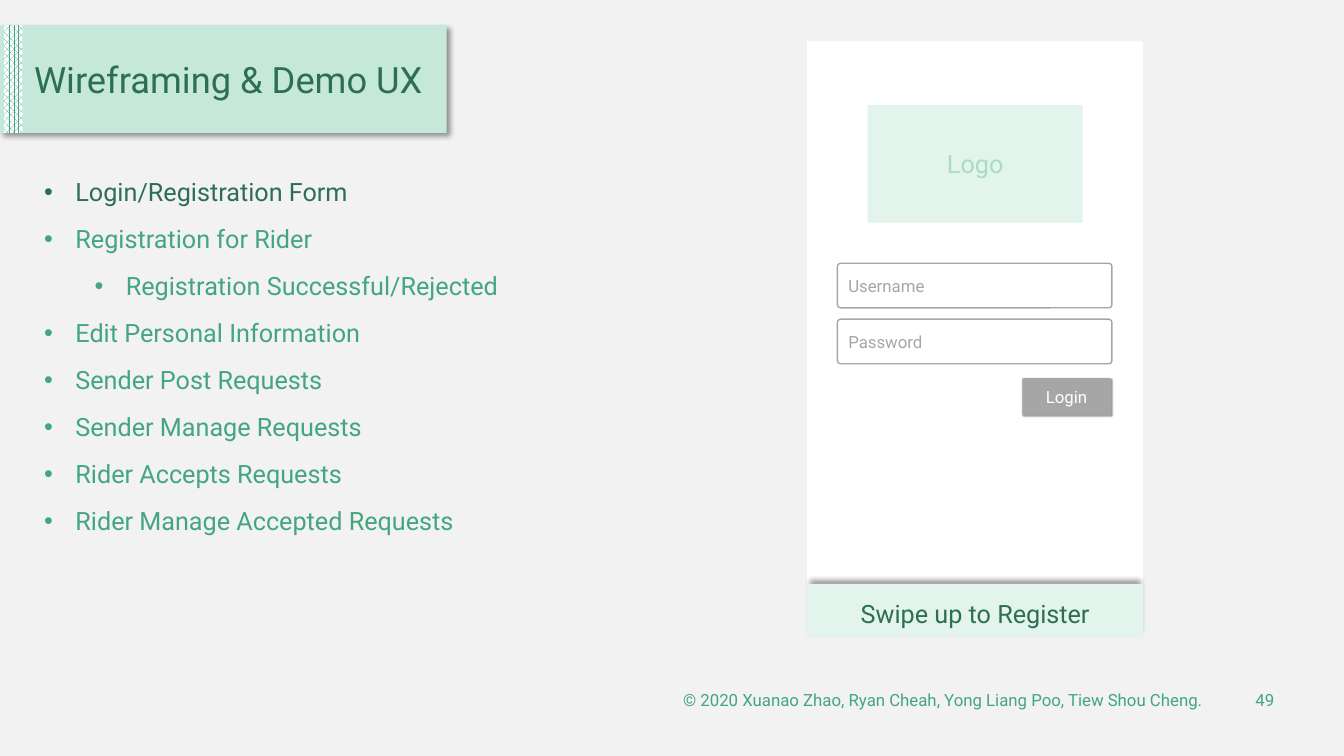
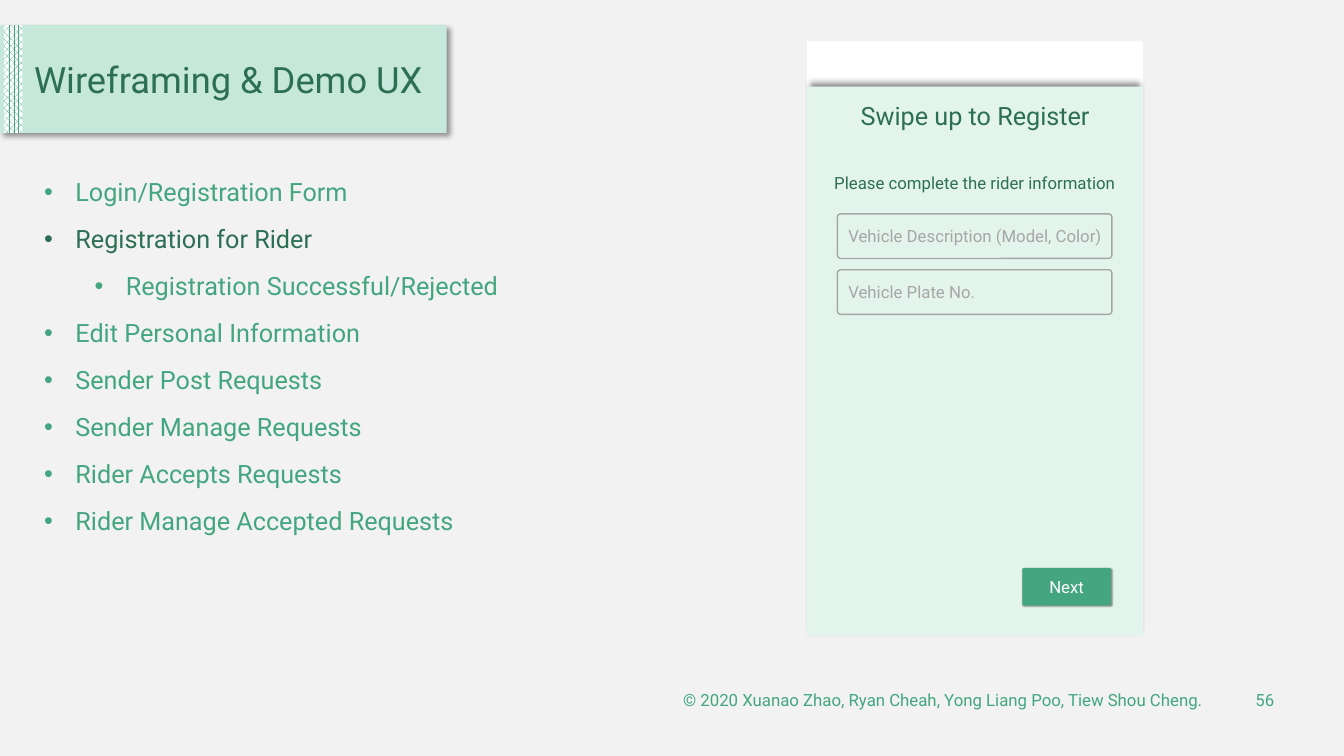
import dataclasses

import lxml.etree
import pptx
import pptx.dml.color
import pptx.enum.dml
import pptx.enum.shapes
import pptx.enum.text
import pptx.oxml.ns
import pptx.util

ALIGN = pptx.enum.text.PP_ALIGN
ANCHOR = pptx.enum.text.MSO_ANCHOR
SHAPE = pptx.enum.shapes.MSO_SHAPE


@dataclasses.dataclass(frozen=True)
class Theme:
    font: str = "Roboto"
    page: str = "F2F2F2"
    white: str = "FFFFFF"
    black: str = "000000"
    mint: str = "C6E8DB"
    pale: str = "E3F4ED"
    faded: str = "A9DCC8"
    green: str = "43A680"
    dark: str = "2D6F55"
    grey: str = "A6A6A6"
    title_size: float = 25.9
    body_size: float = 18
    small_size: float = 12


@dataclasses.dataclass(frozen=True)
class Box:
    left: float
    top: float
    width: float
    height: float

    def inner(self, left, top, width, height):
        """Return an inner box, given in percent of this one."""
        return Box(self.left + self.width * left / 100,
                   self.top + self.height * top / 100,
                   self.width * width / 100, self.height * height / 100)

    def place(self):
        return [pptx.util.Inches(length) for length in dataclasses.astuple(self)]


THEME = Theme()
PAGE = Box(0, 0, 13.33, 7.5)
BAND = PAGE.inner(0, 3.33, 33.23, 14.27)
AGENDA = PAGE.inner(2.55, 22.67, 37.4, 49.3)
PHONE = PAGE.inner(60.06, 5.47, 25, 78.7)
FOOTER = PAGE.inner(40.8, 89.87, 54.75, 5.33)

TITLE = "Wireframing & Demo UX"
CREDIT = "© 2020 Xuanao Zhao, Ryan Cheah, Yong Liang Poo, Tiew Shou Cheng."
TOPICS = [  # text and outline level
    ("Login/Registration Form", 0),
    ("Registration for Rider", 0),
    ("Registration Successful/Rejected", 1),
    ("Edit Personal Information", 0),
    ("Sender Post Requests", 0),
    ("Sender Manage Requests", 0),
    ("Rider Accepts Requests", 0),
    ("Rider Manage Accepted Requests", 0),
]


def rgb(code):
    return pptx.dml.color.RGBColor.from_string(code)


def add_span(para, text, size, color):
    span = para.add_run()
    span.text = text
    span.font.name = THEME.font
    span.font.size = pptx.util.Pt(size)
    span.font.color.rgb = rgb(color)


def write(shape, text, size=THEME.small_size, color=THEME.dark, align=ALIGN.LEFT,
          anchor=ANCHOR.MIDDLE, top=0.05, side=0.1, right=None, wrap=True,
          line_spacing=None):
    frame = shape.text_frame
    frame.word_wrap = wrap
    frame.vertical_anchor = anchor
    frame.margin_top = pptx.util.Inches(top)
    frame.margin_bottom = pptx.util.Inches(0.05)
    frame.margin_left = pptx.util.Inches(side)
    frame.margin_right = pptx.util.Inches(side if right is None else right)
    para = frame.paragraphs[0]
    para.alignment = align
    para.line_spacing = line_spacing
    add_span(para, text, size, color)


def add_text(page, box, text, **style):
    write(page.shapes.add_textbox(*box.place()), text, **style)


def add_panel(page, box, fill=None, line=None, corner=None):
    kind = SHAPE.RECTANGLE if corner is None else SHAPE.ROUNDED_RECTANGLE
    panel = page.shapes.add_shape(kind, *box.place())
    panel.shadow.inherit = False
    if corner is not None:
        panel.adjustments[0] = corner
    if fill:
        panel.fill.solid()
        panel.fill.fore_color.rgb = rgb(fill)
    else:
        panel.fill.background()
    if line:
        panel.line.color.rgb = rgb(line)
        panel.line.width = pptx.util.Pt(1)
    else:
        panel.line.fill.background()
    return panel


def add_shadow(panel, blur, distance, angle, **scale):
    name = pptx.oxml.ns.qn
    effects = panel._element.spPr.find(name("a:effectLst"))
    shadow = lxml.etree.SubElement(
        effects, name("a:outerShdw"), blurRad=str(pptx.util.Pt(blur)),
        dist=str(pptx.util.Pt(distance)), dir=str(angle * 60000), **scale,
        rotWithShape="0")
    color = lxml.etree.SubElement(shadow, name("a:srgbClr"), val=THEME.black)
    lxml.etree.SubElement(color, name("a:alpha"), val="40000")


def add_band(page, box):
    band = add_panel(page, box, THEME.mint)
    add_shadow(band, 4, 3, 45)
    stripe = add_panel(page, box.inner(0.9, 0, 4.1, 100))
    stripe.fill.patterned()
    stripe.fill.pattern = pptx.enum.dml.MSO_PATTERN.PERCENT_70
    stripe.fill.fore_color.rgb = rgb(THEME.green)
    stripe.fill.back_color.rgb = rgb(THEME.white)
    add_text(page, box.inner(5.4, 15, 94, 75.7), TITLE, size=THEME.title_size,
             line_spacing=0.9)


def add_agenda(page, box, current):
    frame = page.shapes.add_textbox(*box.place()).text_frame
    frame.word_wrap = True
    for index, (topic, level) in enumerate(TOPICS):
        para = frame.add_paragraph() if index else frame.paragraphs[0]
        para.level = level
        para.space_before = pptx.util.Pt(12 if index else 0)
        layout = para._p.get_or_add_pPr()
        layout.set("marL", str(pptx.util.Inches(0.31 + 0.5 * level)))
        layout.set("indent", str(pptx.util.Inches(-0.31)))
        lxml.etree.SubElement(layout, pptx.oxml.ns.qn("a:buFont"), typeface="Arial")
        lxml.etree.SubElement(layout, pptx.oxml.ns.qn("a:buChar"), char="•")
        add_span(para, topic, THEME.body_size,
                 THEME.dark if index == current else THEME.green)


def add_footer(page, box, number):
    for left, width, text in ((0, 90.3, CREDIT), (91.9, 8.1, number)):
        add_text(page, box.inner(left, 0, width, 100), text,
                 color=THEME.green, align=ALIGN.RIGHT)


def add_fields(page, box, top, labels):
    for index, label in enumerate(labels):
        field = add_panel(page, box.inner(9, top + 9.4 * index, 81.7, 7.5),
                          line=THEME.grey, corner=0.075)
        write(field, label, color=THEME.grey, right=0, wrap=False)


def add_button(page, box, top, label, fill):
    button = add_panel(page, box.inner(64, top, 26.4, 6.3), fill, corner=0.046)
    add_shadow(button, 1, 1, 45)
    write(button, label, color=THEME.white, align=ALIGN.CENTER)


def add_sheet(page, box, top):
    """Register sheet, pulled up from the bottom of the phone."""
    sheet = add_panel(page, box.inner(0, top, 100, 100 - top), THEME.pale)
    add_shadow(sheet, 4, 3, 270, sx="98000", algn="b")
    write(sheet, "Swipe up to Register", size=THEME.body_size,
          align=ALIGN.CENTER, anchor=ANCHOR.TOP, top=0.14)


def add_login_phone(page, box):
    add_panel(page, box, THEME.white)
    logo = add_panel(page, box.inner(18, 10.7, 64, 19.8), THEME.pale)
    write(logo, "Logo", size=THEME.body_size, color=THEME.faded, align=ALIGN.CENTER)
    add_fields(page, box, 37.3, ["Username", "Password"])
    add_button(page, box, 56.6, "Login", THEME.grey)
    add_sheet(page, box, 91.2)


def add_rider_phone(page, box):
    add_panel(page, box, THEME.white)
    add_sheet(page, box, 7.6)
    add_text(page, box.inner(5.1, 21.2, 94.3, 5.1),
             "Please complete the rider information")
    add_fields(page, box, 29, ["Vehicle Description (Model, Color)",
                               "Vehicle Plate No."])
    add_button(page, box, 88.5, "Next", THEME.green)


def add_page(deck, number, current, add_phone):
    page = deck.slides.add_slide(deck.slide_layouts[6])
    add_band(page, BAND)
    add_agenda(page, AGENDA, current)
    add_phone(page, PHONE)
    add_footer(page, FOOTER, number)


def main():
    deck = pptx.Presentation()
    deck.slide_width = pptx.util.Inches(PAGE.width)
    deck.slide_height = pptx.util.Inches(PAGE.height)
    backdrop = deck.slide_master.background.fill
    backdrop.solid()
    backdrop.fore_color.rgb = rgb(THEME.page)
    add_page(deck, "49", 0, add_login_phone)
    add_page(deck, "56", 1, add_rider_phone)
    deck.save("out.pptx")


if __name__ == "__main__":
    main()
